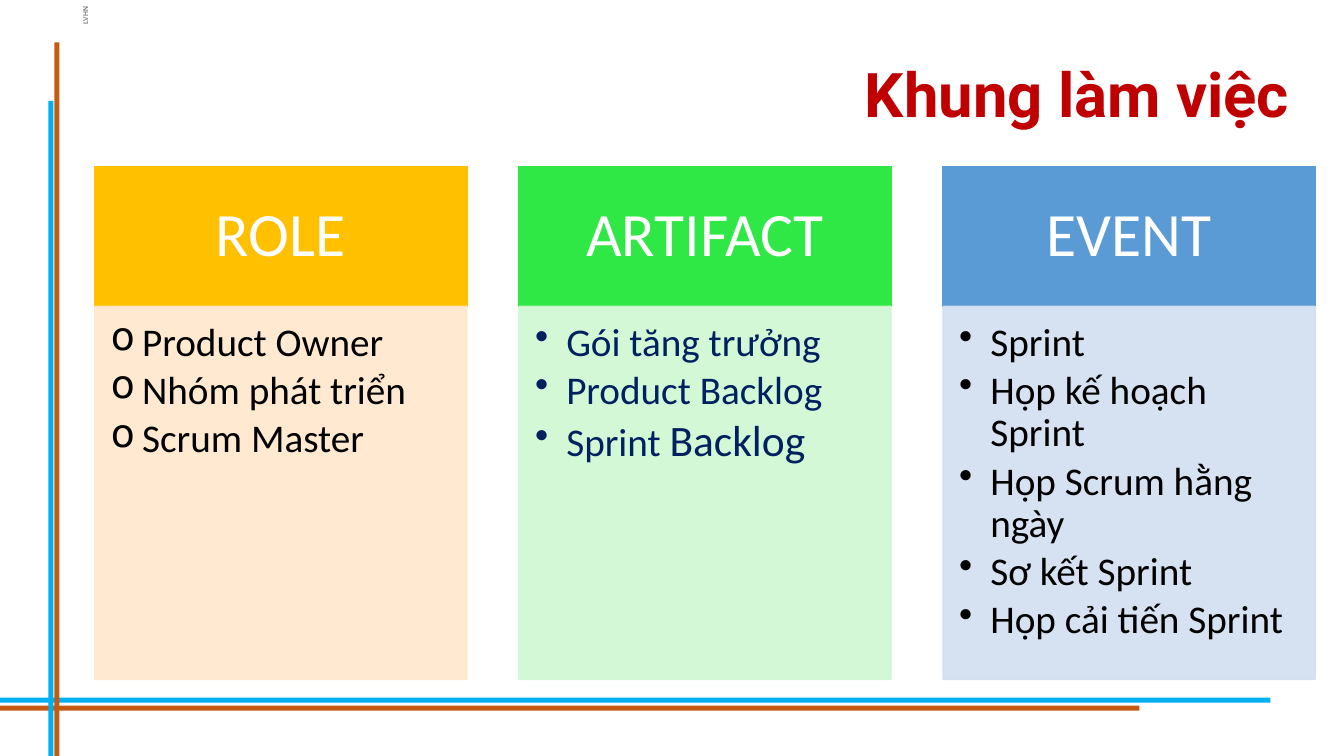
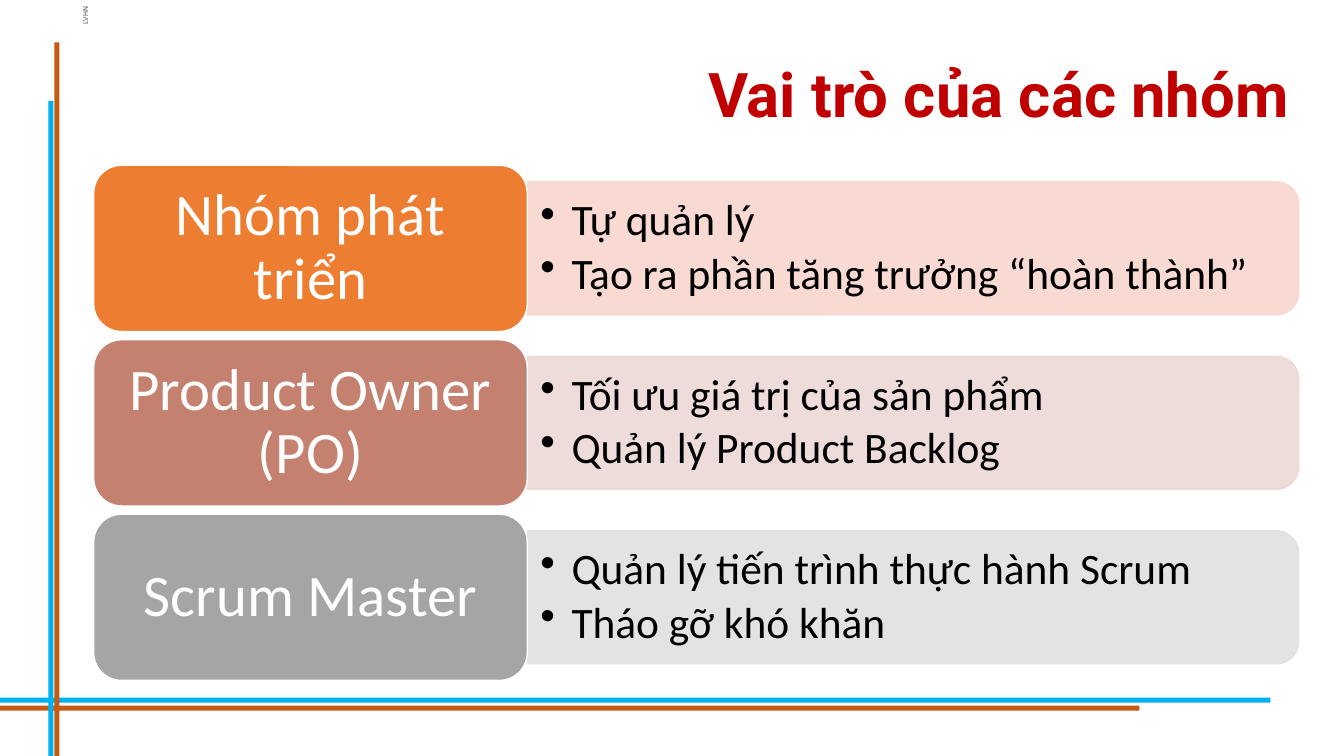
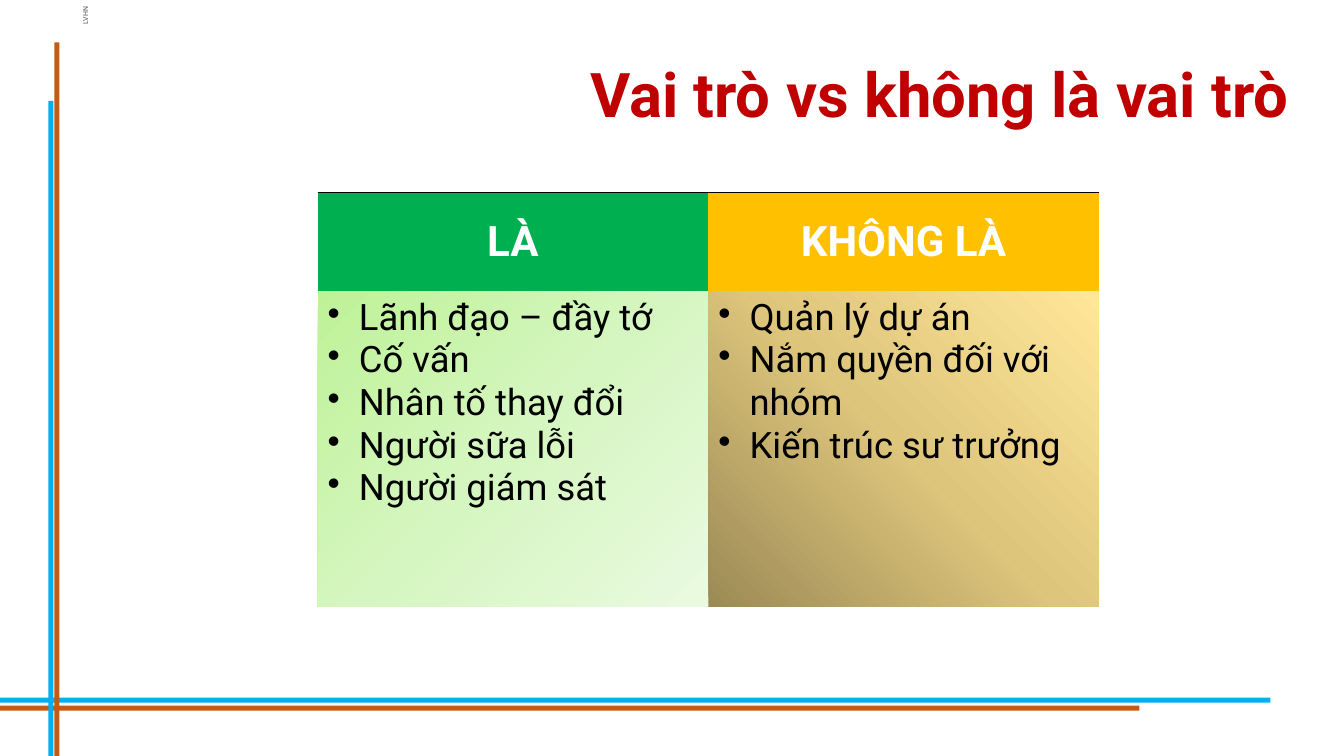
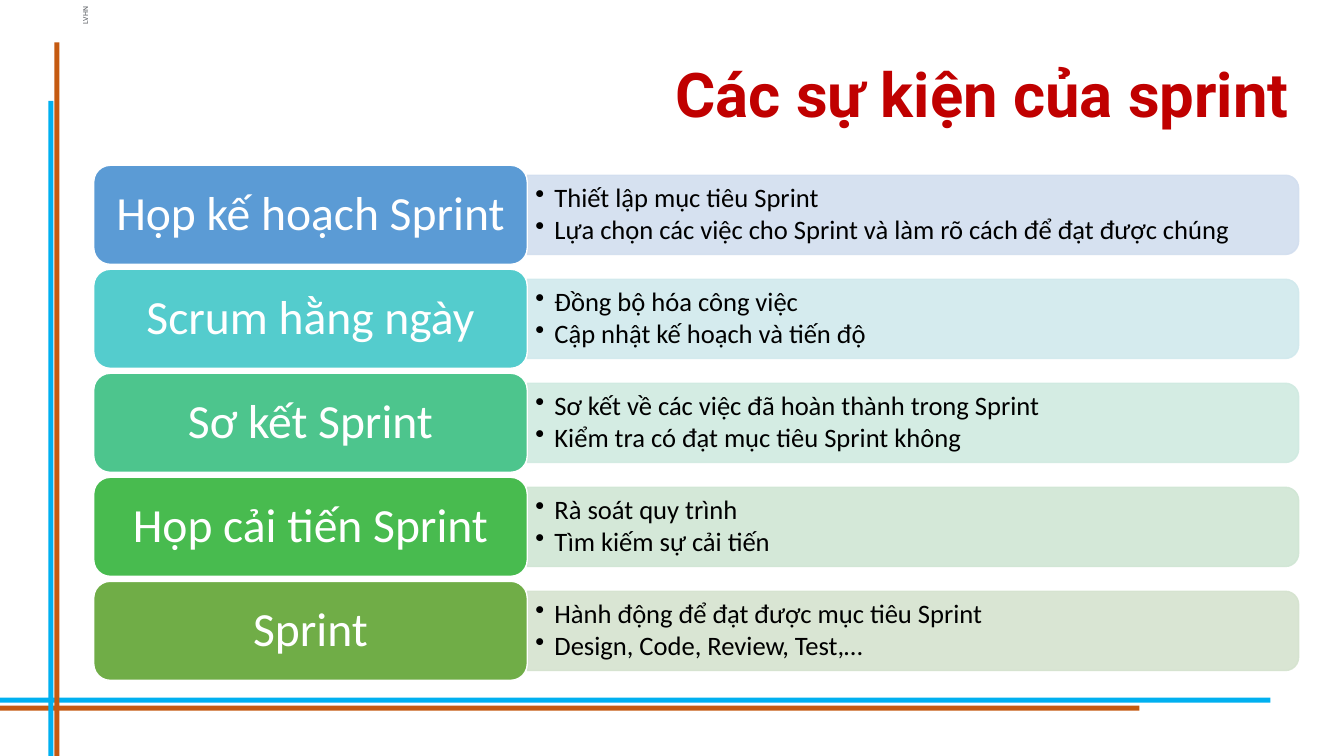
from dataclasses import dataclass
from lxml.etree import SubElement as Sub
from pptx import Presentation
from pptx.dml.color import RGBColor as Rgb
from pptx.enum.shapes import MSO_SHAPE as Form
from pptx.enum.text import MSO_ANCHOR as Anchor, PP_ALIGN as Align
from pptx.oxml import parse_xml
from pptx.oxml.ns import qn, nsdecls
from pptx.util import Inches as In, Pt


@dataclass(frozen=True)
class Theme:
    red: str = "C00000"
    blue: str = "00B0F0"
    rust: str = "C55A11"
    white: str = "FFFFFF"
    black: str = "000000"
    navy: str = "002060"
    text: str = "Calibri"
    head: str = "Roboto"
    title: int = 44
    card: int = 44
    item: int = 28
    large: int = 31
    cell: int = 26
    top: int = 30
    tag: int = 5


T = Theme()
WIDE, HIGH = 13.33, 7.5
TITLE = (0.92, 0.24, 11.97, 1.45)
BANDS = [
    (0, 6.92, 12.6, 0.05, T.blue),
    (0, 7, 11.3, 0.05, T.rust),
    (0.48, 1, 0.05, 6.5, T.blue),
    (0.54, 0.42, 0.05, 7.1, T.rust),
]
TAG = ("LVHN", [(21, "53575C"), (88, "C5C7CA")], 90)

CARDS = [
    ("ROLE", "FFC000", "FFE8CC", T.black, "o",
     ["Product Owner", "Nhóm phát triển", "Scrum Master"]),
    ("ARTIFACT", "30E845", "CFF8D1", T.navy, "•",
     ["Gói tăng trưởng", "Product Backlog", "Sprint |Backlog"]),
    ("EVENT", "5B9BD5", "D2DFF0", T.black, "•",
     ["Sprint", "Họp kế hoạch Sprint", "Họp Scrum hằng ngày",
      "Sơ kết Sprint", "Họp cải tiến Sprint"]),
]
TEAMS = [
    ("Nhóm phát triển", "ED7D31", "F8D7CE",
     ["Tự quản lý", "Tạo ra phần tăng trưởng “hoàn thành”"]),
    ("Product Owner (PO)", "C48170", "EDD9D7",
     ["Tối ưu giá trị của sản phẩm", "Quản lý Product Backlog"]),
    ("Scrum Master", "A5A5A5", "E1E1E1",
     ["Quản lý tiến trình thực hành Scrum", "Tháo gỡ khó khăn"]),
]
SIDES = [
    ("LÀ", "00B050", [(0, "BEF297"), (50, "D5F6C0"), (100, "EAFAE0")], 45,
     ["Lãnh đạo – đầy tớ", "Cố vấn", "Nhân tố thay đổi",
      "Người sữa lỗi", "Người giám sát"]),
    ("KHÔNG LÀ", "FFC000", [(0, "9C8A56"), (50, "DDC57B"), (100, "FFE699")], 315,
     ["Quản lý dự án", "Nắm quyền đối với nhóm", "Kiến trúc sư trưởng"]),
]
EVENTS = [
    ("Họp kế hoạch Sprint", "5B9BD5", "D2DEEF",
     ["Thiết lập mục tiêu Sprint",
      "Lựa chọn các việc cho Sprint và làm rõ cách để đạt được chúng"]),
    ("Scrum hằng ngày", "54CCCD", "D1E9ED",
     ["Đồng bộ hóa công việc", "Cập nhật kế hoạch và tiến độ"]),
    ("Sơ kết Sprint", "4DC58D", "D0EAE1",
     ["Sơ kết về các việc đã hoàn thành trong Sprint",
      "Kiểm tra có đạt mục tiêu Sprint không"]),
    ("Họp cải tiến Sprint", "48BB4F", "D0E6D4",
     ["Rà soát quy trình", "Tìm kiếm sự cải tiến"]),
    ("Sprint", "70AD47", "D5E3CF",
     ["Hành động để đạt được mục tiêu Sprint", "Design, Code, Review, Test,…"]),
]


def hue(code):
    return Rgb.from_string(code)


def box(slide, form, at, fill, line=None, alpha=None):
    shape = slide.shapes.add_shape(form, *map(In, at))
    shape.shadow.inherit = False
    shape.fill.solid()
    shape.fill.fore_color.rgb = hue(fill)
    if line:
        shape.line.color.rgb = hue(line)
        shape.line.width = Pt(1)
    else:
        shape.line.fill.background()
    if alpha:
        for node in shape._element.spPr.iter(qn("a:srgbClr")):
            Sub(node, qn("a:alpha"), val=str(alpha * 1000))
    return shape


def blend(node, stops, angle):
    marks = "".join(
        f'<a:gs pos="{pos * 1000}"><a:srgbClr val="{code}"/></a:gs>'
        for pos, code in stops)
    node.insert(0, parse_xml(
        f'<a:gradFill {nsdecls("a")} rotWithShape="1"><a:gsLst>{marks}</a:gsLst>'
        f'<a:lin ang="{angle * 60000}" scaled="0"/></a:gradFill>'))


def pad(frame, left, top, right, low):
    frame.margin_left, frame.margin_top = In(left), In(top)
    frame.margin_right, frame.margin_bottom = In(right), In(low)
    frame.word_wrap = True


def style(run, size, color, font, bold=False):
    run.font.size, run.font.name, run.font.bold = Pt(size), font, bold
    run.font.color.rgb = hue(color)


def label(frame, text, size, font=T.text, bold=False):
    frame.text = text
    para = frame.paragraphs[0]
    para.alignment = Align.CENTER
    if not bold:
        para.line_spacing = 0.9
    style(para.runs[0], size, T.white, font, bold)


def bullets(frame, items, size, color=T.black, mark="•", font=T.text,
            dent=0.31, line=0.9, after=0.15):
    frame.text = "\n".join(items)
    for para, item in zip(frame.paragraphs, items):
        first, *rest = item.split("|")
        para.text = first
        para.alignment = Align.LEFT
        para.line_spacing = line
        para.space_after = Pt(after * size)
        style(para.runs[0], size, color, font)
        for part in rest:
            run = para.add_run()
            run.text = part
            style(run, T.large, color, font)
        prop = para._p.get_or_add_pPr()
        prop.set("marL", str(In(dent)))
        prop.set("indent", str(-In(dent)))
        Sub(prop, qn("a:buChar"), char=mark)


def cards(slide):
    left, top, wide, head, body = 0.94, 1.65, 3.69, 1.39, 3.7
    for col, (name, dark, pale, ink, mark, items) in enumerate(CARDS):
        x = left + col * wide * 1.14
        cap = box(slide, Form.RECTANGLE, (x, top, wide, head), dark, dark)
        pad(cap.text_frame, 0.34, 0.2, 0.34, 0.2)
        label(cap.text_frame, name, T.card)
        pane = box(slide, Form.RECTANGLE, (x, top + head, wide, body), pale, pale, 90)
        pad(pane.text_frame, 0.16, 0.16, 0.22, 0.24)
        pane.text_frame.vertical_anchor = Anchor.TOP
        bullets(pane.text_frame, items, T.item, ink, mark)


def rows(slide, data, big, small):
    left, top, span, wide, long = 0.93, 1.64, 5.11, 4.3, 7.65
    high = span / (len(data) * 1.05 - 0.05)
    bar, x = high * 0.8, left + wide
    for row, (name, dark, pale, items) in enumerate(data):
        y = top + row * high * 1.05
        mid = y + high / 2
        strip = box(slide, Form.ROUND_2_SAME_RECTANGLE,
                    (x + (long - bar) / 2, mid - long / 2, bar, long), pale, pale, 90)
        strip.rotation = 90
        trim = bar * 0.05
        text = slide.shapes.add_textbox(
            *map(In, (x, mid - bar / 2 + trim, long - trim, bar - 2 * trim))).text_frame
        pad(text, *(small / 240, small / 480) * 2)
        text.vertical_anchor = Anchor.MIDDLE
        bullets(text, items, small, dent=small / 100)
        tile = box(slide, Form.ROUNDED_RECTANGLE, (left, y, wide, high), dark, T.white)
        pad(tile.text_frame, *(big / 240, big / 480) * 2)
        label(tile.text_frame, name, big)


def sides(slide):
    grid = slide.shapes.add_table(2, 2, *map(In, (3.15, 1.91, 7.75, 4.1))).table
    grid._tbl.tblPr.find(qn("a:tableStyleId")).text = "{2D5ABB26-0587-4C30-8999-92F81FD0307C}"
    for row, high in zip(grid.rows, (0.98, 3.13)):
        row.height = In(high)
    for col, (name, dark, stops, angle, items) in enumerate(SIDES):
        head, body = grid.cell(0, col), grid.cell(1, col)
        head.vertical_anchor = Anchor.MIDDLE
        label(head.text_frame, name, T.top, T.head, True)
        head.fill.solid()
        head.fill.fore_color.rgb = hue(dark)
        head._tc.tcPr.insert(0, parse_xml(
            f'<a:lnT {nsdecls("a")} w="12700"><a:solidFill>'
            f'<a:srgbClr val="{T.black}"/></a:solidFill></a:lnT>'))
        bullets(body.text_frame, items, T.cell, font=T.head, line=1, after=0)
        blend(body._tc.get_or_add_tcPr(), stops, angle)


def dress(deck, layout):
    title = layout.placeholders[0]
    title.left, title.top, title.width, title.height = map(In, TITLE)
    level = deck.slide_master.element.find(".//" + qn("p:titleStyle")).find(qn("a:lvl1pPr"))
    level.set("algn", "r")
    level.insert(0, parse_xml(
        f'<a:lnSpc {nsdecls("a")}><a:spcPct val="90000"/></a:lnSpc>'))
    level.replace(level.find(qn("a:defRPr")), parse_xml(
        f'<a:defRPr {nsdecls("a")} sz="{T.title * 100}" b="1"><a:solidFill>'
        f'<a:srgbClr val="{T.red}"/></a:solidFill><a:latin typeface="{T.head}"/></a:defRPr>'))


def frame(slide, layout):
    name, stops, angle = TAG
    tag = slide.shapes.add_textbox(*map(In, (0.66, 0.06, 0.38, 0.19)))
    tag.rotation = 270
    tag.text_frame.word_wrap = False
    tag.text_frame.text = name
    para = tag.text_frame.paragraphs[0]
    para.alignment = Align.CENTER
    font = para.runs[0].font
    font.size, font.name = Pt(T.tag), T.head
    blend(para.runs[0]._r.get_or_add_rPr(), stops, angle)
    bars = [box(slide, Form.RECTANGLE, at, fill) for *at, fill in BANDS]
    for num, shape in enumerate([tag, *bars], 20):
        shape._element.nvSpPr.cNvPr.set("id", str(num))
        layout.shapes._spTree.append(shape._element)


PAGES = [
    ("Khung làm việc", cards, ()),
    ("Vai trò của các nhóm", rows, (TEAMS, 42, 31)),
    ("Vai trò vs không là vai trò", sides, ()),
    ("Các sự kiện của sprint", rows, (EVENTS, 34, 19)),
]


def main():
    deck = Presentation()
    deck.slide_width, deck.slide_height = In(WIDE), In(HIGH)
    layout = deck.slide_layouts[5]
    dress(deck, layout)
    for num, (title, draw, args) in enumerate(PAGES):
        slide = deck.slides.add_slide(layout)
        if num == 0:
            frame(slide, layout)
        slide.shapes.title.text_frame.text = title
        draw(slide, *args)
    deck.save("out.pptx")


if __name__ == "__main__":
    main()
